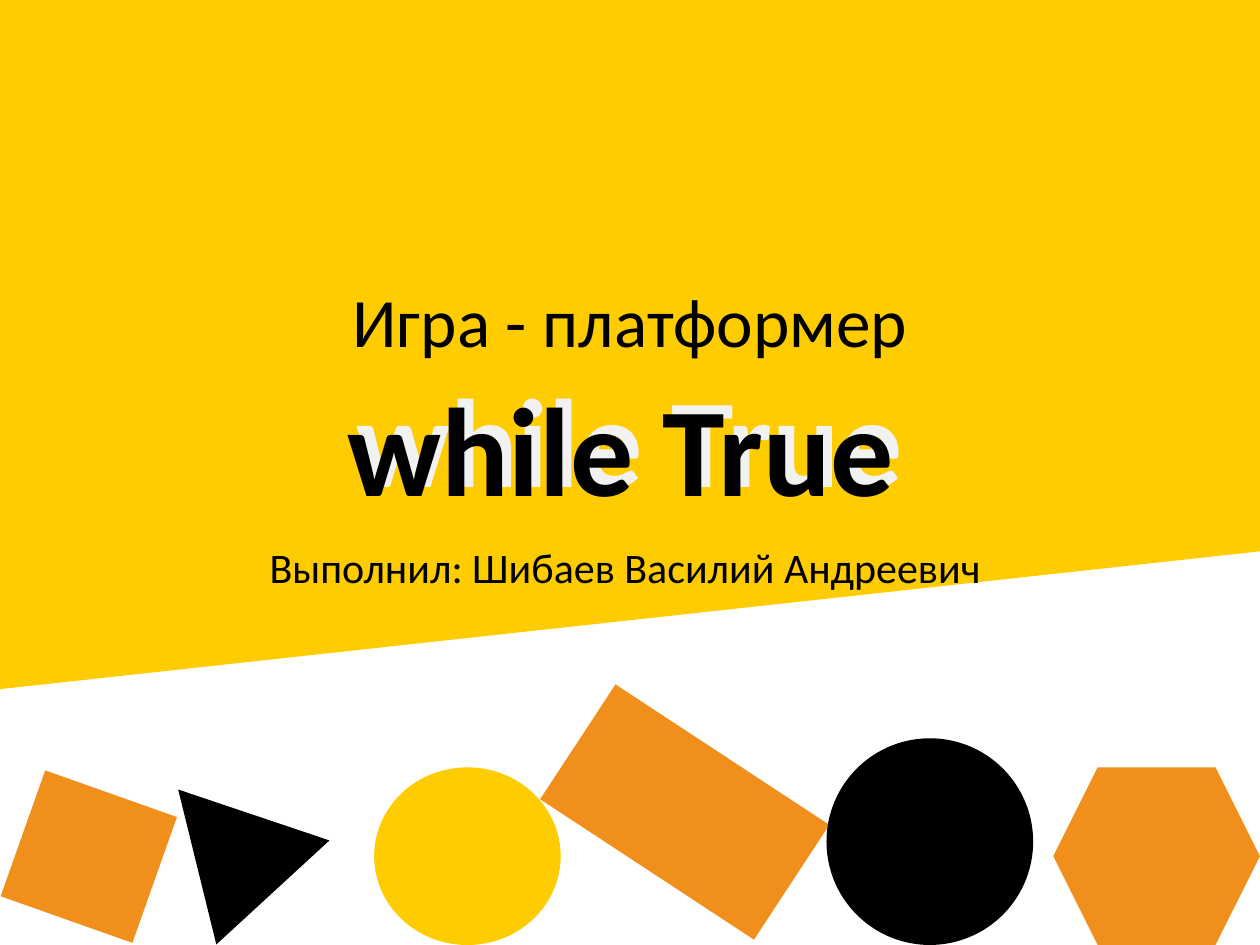
from dataclasses import dataclass

from pptx import Presentation
from pptx.dml.color import RGBColor
from pptx.enum.shapes import MSO_SHAPE as Preset
from pptx.enum.text import MSO_ANCHOR as Anchor, PP_ALIGN as Align
from pptx.util import Pt

COLORS = {
    "yellow": "FFCC00",
    "orange": "F18F1C",
    "black": "000000",
    "pale": "F2F2F2",
    "white": "FFFFFF",
}
Box = tuple[float, float, float, float]  # left, top, width, height in points


@dataclass
class Figure:
    preset: Preset
    box: Box
    color: str
    rotation: float = 0


@dataclass
class Line:
    text: str
    size: float
    color: str = "black"
    bold: bool = False


@dataclass
class Caption:
    box: Box
    lines: list[Line]
    align: Align = Align.CENTER
    anchor: Anchor = Anchor.TOP
    wrap: bool = True


def rgb(name: str) -> RGBColor:
    return RGBColor.from_string(COLORS[name])


def draw_figure(slide, figure: Figure) -> None:
    shape = slide.shapes.add_shape(figure.preset, *map(Pt, figure.box))
    shape.rotation = figure.rotation
    shape.shadow.inherit = False
    shape.fill.solid()
    shape.fill.fore_color.rgb = rgb(figure.color)
    shape.line.fill.background()


def draw_caption(slide, caption: Caption) -> None:
    frame = slide.shapes.add_textbox(*map(Pt, caption.box)).text_frame
    frame.word_wrap = caption.wrap
    frame.vertical_anchor = caption.anchor
    paragraph = frame.paragraphs[0]
    paragraph.alignment = caption.align
    for index, line in enumerate(caption.lines):
        if index:
            paragraph.add_line_break()
        run = paragraph.add_run()
        run.text = line.text
        font_format = {"name": "Calibri", "size": Pt(line.size), "bold": line.bold}
        for attribute, value in font_format.items():
            setattr(run.font, attribute, value)
        run.font.color.rgb = rgb(line.color)


BACKDROP = Figure(Preset.FLOWCHART_MANUAL_INPUT, (0, 0, 720, 393.8), "yellow", 180)

GAME_NAME = "while True"
TITLE = Caption(
    (54, 167.8, 612, 115.9),
    [Line("Игра - платформер", 39.6), Line(GAME_NAME, 72, "pale", True)],
    anchor=Anchor.MIDDLE,
)
AUTHOR = Caption(
    (108, 306, 504, 138.2), [Line("Выполнил: Шибаев Василий Андреевич ", 24)]
)
# Black name, offset over the pale one so that the latter reads as its shadow
GAME_NAME_FRONT = Caption(
    (191.5, 208.1, 331.9, 94.3),
    [Line(GAME_NAME, 72, bold=True)],
    align=Align.LEFT,
    wrap=False,
)

# Row of figures along the bottom edge
FIGURES = [
    Figure(Preset.RECTANGLE, (10.8, 451.4, 79.9, 76.3), "orange", 19.5),
    Figure(Preset.ISOSCELES_TRIANGLE, (85, 440.6, 87.8, 79.9), "black", 317.4),
    Figure(Preset.OVAL, (213.8, 438.5, 106.6, 101.5), "yellow"),
    Figure(Preset.HEXAGON, (601.9, 438.5, 118.1, 101.5), "orange"),
    Figure(Preset.RECTANGLE, (318.2, 424.8, 146.2, 78.5), "orange", 33.3),
    Figure(Preset.OVAL, (472.3, 421.9, 118.1, 118.1), "black"),
]


def main() -> None:
    deck = Presentation()
    deck.slide_width, deck.slide_height = Pt(720), Pt(540)
    slide = deck.slides.add_slide(deck.slide_layouts[6])
    slide.background.fill.solid()
    slide.background.fill.fore_color.rgb = rgb("white")

    draw_figure(slide, BACKDROP)
    for caption in (TITLE, AUTHOR):
        draw_caption(slide, caption)
    for figure in FIGURES:
        draw_figure(slide, figure)
    draw_caption(slide, GAME_NAME_FRONT)

    deck.save("out.pptx")


if __name__ == "__main__":
    main()
